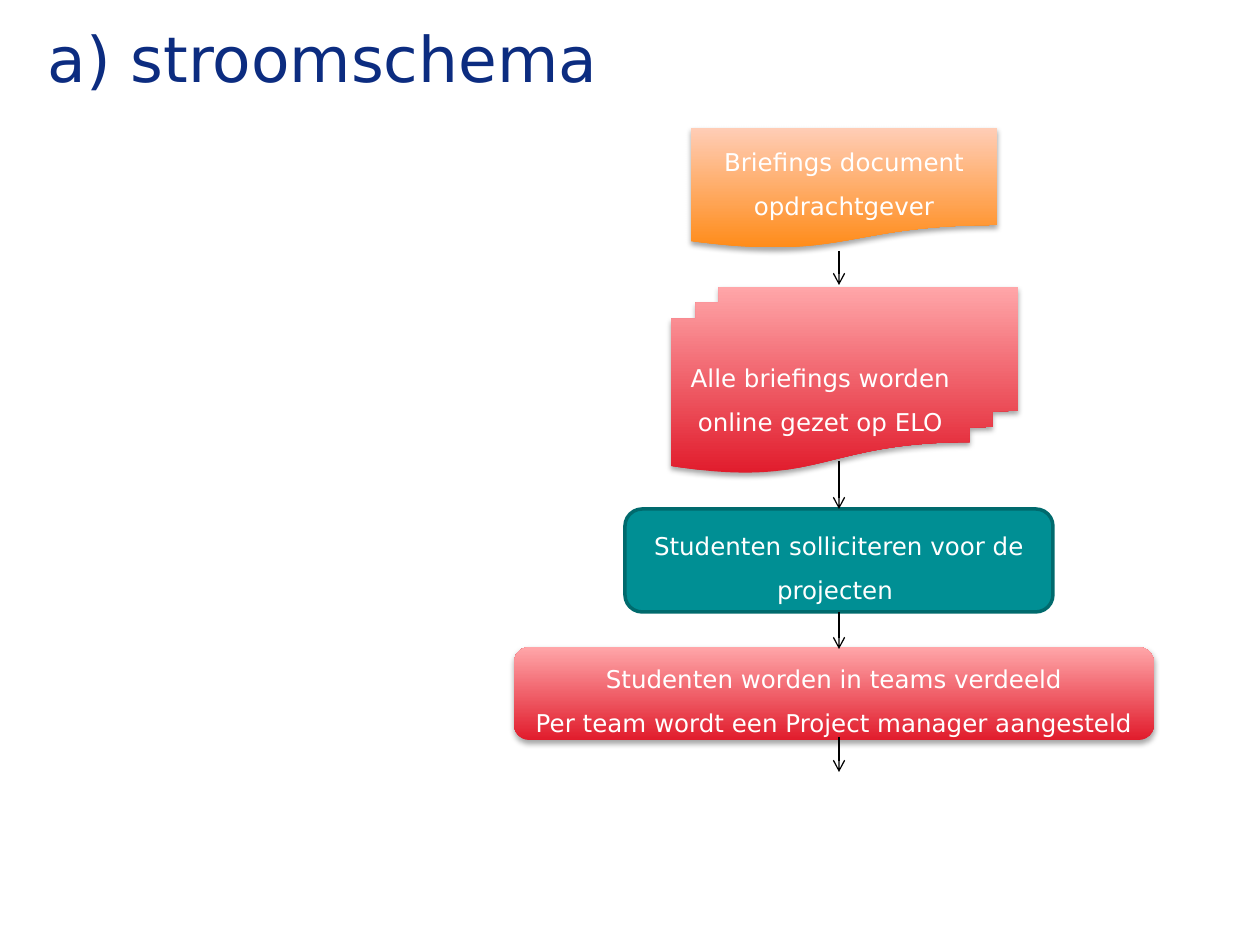
"""Build a slide with a vertical flow chart of the briefing process."""
import pptx
import pptx.util
import pptx.dml.color
import pptx.enum.shapes
import pptx.enum.text
import pptx.oxml
import pptx.oxml.ns
import lxml.etree

SCALE = 914400 / 126
FONT = "DejaVu Sans"
COLORS = {
    "title": "0C2C80", "text": "FFFFFF", "arrow": "000000",
    "orange": "FF8B18", "peach": "FFCDB6",
    "red": "E11C2C", "pink": "FFA6A9",
    "teal": "008F94", "teal_edge": "006A6D",
}
SHADOW = (
    f'<a:outerShdw {pptx.oxml.ns.nsdecls("a")} blurRad="40000" dist="23000" dir="5400000" rotWithShape="0">'
    '<a:srgbClr val="000000"><a:alpha val="35000"/></a:srgbClr></a:outerShdw>'
)
KINDS = pptx.enum.shapes.MSO_SHAPE
qn = pptx.oxml.ns.qn


def px(*lengths):
    return [pptx.util.Emu(round(length * SCALE)) for length in lengths]


def add_text(paragraph, text, size, color):
    run = paragraph.add_run()
    run.text = text
    run.font.name = FONT
    run.font.size = pptx.util.Pt(size)
    run.font.color.rgb = pptx.dml.color.RGBColor.from_string(COLORS[color])


deck = pptx.Presentation()
deck.slide_width, deck.slide_height = px(1260, 945)
slide = deck.slides.add_slide(deck.slide_layouts[5])

title = slide.shapes.title
title.left, title.top, title.width, title.height = px(35, -21, 1134, 157)
title.text_frame.vertical_anchor = pptx.enum.text.MSO_ANCHOR.MIDDLE
heading = title.text_frame.paragraphs[0]
heading.alignment = pptx.enum.text.PP_ALIGN.LEFT
add_text(heading, "a) stroomschema", 36, "title")

steps = [
    (KINDS.FLOWCHART_DOCUMENT, (691, 128, 306, 121), ("orange", "peach"),
     ["Briefings document opdrachtgever"]),
    (KINDS.FLOWCHART_MULTIDOCUMENT, (671, 287, 347, 186), ("red", "pink"),
     ["Alle briefings worden online gezet op ELO"]),
    (KINDS.FLOWCHART_ALTERNATE_PROCESS, (625, 509, 428, 103), None,
     ["Studenten solliciteren voor de projecten "]),
    (KINDS.FLOWCHART_ALTERNATE_PROCESS, (514, 647, 640, 93), ("red", "pink"),
     ["Studenten worden in teams verdeeld",
      "Per team wordt een Project manager aangesteld"]),
]
boxes = []
for kind, place, gradient, lines in steps:
    box = slide.shapes.add_shape(kind, *px(*place))
    box.shadow.inherit = False
    if gradient:
        box.fill.gradient()
        box.fill.gradient_angle = 90
        for stop, color in zip(box.fill.gradient_stops, gradient):
            stop.color.rgb = pptx.dml.color.RGBColor.from_string(COLORS[color])
        box.line.fill.background()
        box._element.spPr.find(qn("a:effectLst")).append(pptx.oxml.parse_xml(SHADOW))
    else:
        box.fill.solid()
        box.fill.fore_color.rgb = pptx.dml.color.RGBColor.from_string(COLORS["teal"])
        box.line.color.rgb = pptx.dml.color.RGBColor.from_string(COLORS["teal_edge"])
        box.line.width = pptx.util.Pt(2)
    frame = box.text_frame
    frame.word_wrap = True
    frame.vertical_anchor = pptx.enum.text.MSO_ANCHOR.MIDDLE
    for index, line in enumerate(lines):
        paragraph = frame.add_paragraph() if index else frame.paragraphs[0]
        paragraph.alignment = pptx.enum.text.PP_ALIGN.CENTER
        paragraph.line_spacing = 1.5
        add_text(paragraph, line, 14, "text")
    boxes.append(box)

arrows = []
for start, end in [(251, 285), (461, 509), (612, 649), (737, 772)]:
    arrow = slide.shapes.add_connector(
        pptx.enum.shapes.MSO_CONNECTOR.STRAIGHT, *px(839, start, 839, end))
    arrow.line.color.rgb = pptx.dml.color.RGBColor.from_string(COLORS["arrow"])
    arrow.line.width = pptx.util.Pt(0.75)
    lxml.etree.SubElement(arrow.line._get_or_add_ln(), qn("a:tailEnd"), type="arrow")
    lxml.etree.SubElement(arrow._element.spPr, qn("a:effectLst"))
    arrows.append(arrow)

apply_box = boxes[2]
arrows[1].end_connect(apply_box, 0)
arrows[2].begin_connect(apply_box, 2)

deck.save("out.pptx")
